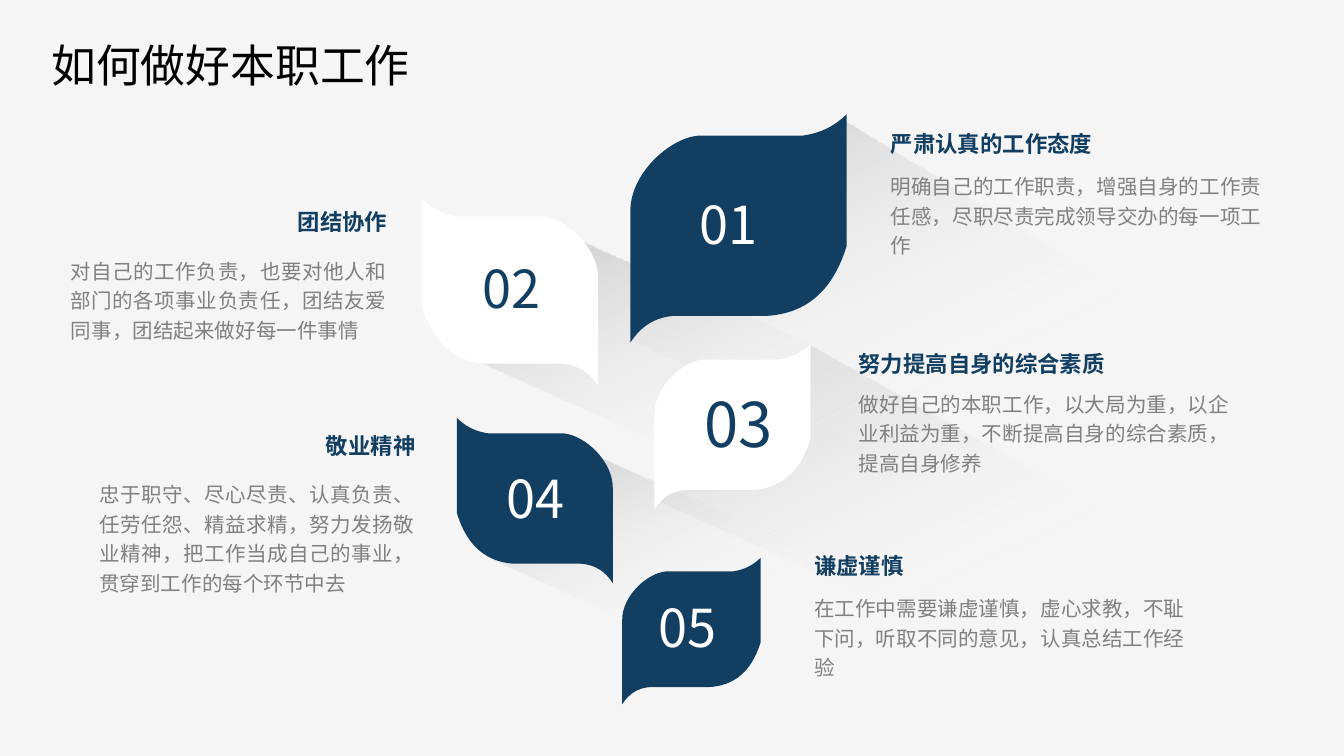
from lxml.etree import SubElement
from pptx import Presentation
from pptx.dml.color import RGBColor
from pptx.enum.shapes import MSO_SHAPE
from pptx.enum.text import MSO_AUTO_SIZE, PP_ALIGN
from pptx.oxml import parse_xml
from pptx.oxml.ns import nsdecls, qn
from pptx.util import Inches, Pt

FONT = "Noto Sans CJK SC"
NAVY = RGBColor(0x12, 0x3E, 0x61)
WHITE = RGBColor(0xFF, 0xFF, 0xFF)
GREY = RGBColor(0x80, 0x80, 0x80)
BLACK = RGBColor(0, 0, 0)
PAPER = RGBColor(0xF5, 0xF5, 0xF6)

LEAF_W, LEAF_H = 1.6, 1.7
LEAF = [
    (1.6, 0),
    (1.52, 0.08), (1.42, 0.14), (1.27, 0.16),
    (1.02, 0.16), (0.75, 0.16), (0.5, 0.16),
    (0.29, 0.18), (0, 0.44), (0, 0.72),
    (0, 1.04), (0, 1.38), (0, 1.7),
    (0.07, 1.59), (0.17, 1.51), (0.33, 1.5),
    (0.56, 1.5), (0.79, 1.5), (1.02, 1.5),
    (1.28, 1.48), (1.49, 1.34), (1.6, 0.98),
]
SHADE_TILT = 24.2
SHADE_STOPS = [(0, "2889D6", 54), (0, "BFBFBF", 100), (54, "FFFFFF", 0)]
SHADE_ANGLE = 40


class LeafSlide:
    """Holds the style and the current slide, and draws each kind of element."""

    def __init__(self, prs):
        self.s = prs.slides.add_slide(prs.slide_layouts[6])
        self.s.background.fill.solid()
        self.s.background.fill.fore_color.rgb = PAPER

    def outline(self, points):
        pts = [(Inches(x), Inches(y)) for x, y in points]
        builder = self.s.shapes.build_freeform(*pts[0])
        builder.add_line_segments(pts[1:], close=True)
        return builder.convert_to_shape()

    def shade(self, left, top, width, height, corners=None):
        if corners:
            sp = self.outline([(left + x, top + y) for x, y in corners])
        else:
            box = [Inches(v) for v in (left, top, width, height)]
            sp = self.s.shapes.add_shape(MSO_SHAPE.RECTANGLE, *box)
        sp.rotation = SHADE_TILT
        sp.shadow.inherit = False
        sp.line.fill.background()
        sp.fill.gradient()
        stops = "".join(
            f'<a:gs pos="{pos * 1000}"><a:srgbClr val="{color}">'
            f'<a:alpha val="{alpha * 1000}"/></a:srgbClr></a:gs>'
            for pos, color, alpha in SHADE_STOPS)
        grad = parse_xml(
            f'<a:gradFill {nsdecls("a")} rotWithShape="1"><a:gsLst>{stops}</a:gsLst>'
            f'<a:lin ang="{SHADE_ANGLE * 60000}" scaled="0"/></a:gradFill>')
        spPr = sp._element.spPr
        spPr.replace(spPr.find(qn("a:gradFill")), grad)

    def leaf(self, left, top, width, height, color, mirrored=False):
        points = []
        for x, y in LEAF:
            across = 1 - x / LEAF_W if mirrored else x / LEAF_W
            points.append((left + across * width, top + y / LEAF_H * height))
        sp = self.outline(points)
        sp.shadow.inherit = False
        sp.line.fill.background()
        sp.fill.solid()
        sp.fill.fore_color.rgb = color
        segments = list(sp._element.iter(qn("a:lnTo")))
        for i in range(0, len(segments) - 2, 3):
            curve = SubElement(segments[i].getparent(), qn("a:cubicBezTo"))
            segments[i].addprevious(curve)
            for segment in segments[i:i + 3]:
                curve.append(segment[0])
                segment.getparent().remove(segment)

    def text(self, text, left, top, width, height, size, color, bold=False,
             align=PP_ALIGN.LEFT, spacing=None, wrap=True, grow=True):
        box = [Inches(v) for v in (left, top, width, height)]
        tf = self.s.shapes.add_textbox(*box).text_frame
        tf.word_wrap = wrap
        tf.auto_size = MSO_AUTO_SIZE.SHAPE_TO_FIT_TEXT if grow else MSO_AUTO_SIZE.NONE
        p = tf.paragraphs[0]
        p.alignment = align
        if spacing:
            p.line_spacing = spacing
        r = p.add_run()
        r.text = text
        r.font.size = Pt(size)
        r.font.bold = bold
        r.font.color.rgb = color
        r.font.name = FONT
        SubElement(r._r.get_or_add_rPr(), qn("a:ea")).set("typeface", FONT)


SHADES = [
    (4.98, 3.34, 5.2, 1.52, [(0.55, 0), (5.2, 0.41), (5.2, 1.52), (0, 1.52)]),
    (3.72, 3.91, 3.52, 1.02),
    (3.48, 2.62, 5.11, 1.13),
    (4.9, 1.55, 5.2, 2.14, [(0.77, 0), (5.2, 0.57), (5.2, 2.14), (0, 2.14)]),
]
LEAVES = [
    (4.69, 0.85, 1.61, 1.7, NAVY),
    (4.87, 2.56, 1.16, 1.23, WHITE),
    (3.4, 3.11, 1.16, 1.23, NAVY, True),
    (3.14, 1.48, 1.31, 1.39, WHITE, True),
    (4.63, 4.15, 1.03, 1.09, NAVY),
]
NUMBERS = [
    ("01", 5.11, 1.38, 0.66, 0.57, 28, WHITE),
    ("02", 3.49, 1.86, 0.66, 0.57, 28, NAVY),
    ("03", 5.14, 2.82, 0.75, 0.66, 33, NAVY),
    ("04", 3.67, 3.42, 0.66, 0.57, 28, WHITE),
    ("05", 4.8, 4.38, 0.66, 0.57, 28, WHITE),
]
RIGHT_NOTES = [
    (6.53, 0.92, 2.07, 1.21, "严肃认真的工作态度",
     "明确自己的工作职责，增强自身的工作责任感，尽职尽责完成领导交办的每一项工作"),
    (6.29, 2.56, 2.06, 2.83, "努力提高自身的综合素质",
     "做好自己的本职工作，以大局为重，以企业利益为重，不断提高自身的综合素质，提高自身修养"),
    (5.96, 4.06, 1.64, 4.35, "谦虚谨慎",
     "在工作中需要谦虚谨慎，虚心求教，不耻下问，听取不同的意见，认真总结工作经验"),
]
LEFT_NOTES = [
    (1.34, 1.5, 0.43, 1.84, 0.77, "团结协作",
     "对自己的工作负责，也要对他人和部门的各项事业负责任，团结友爱同事，团结起来做好每一件事情"),
    (1.55, 3.17, 0.64, 3.5, 0.99, "敬业精神",
     "忠于职守、尽心尽责、认真负责、任劳任怨、精益求精，努力发扬敬业精神，"
     "把工作当成自己的事业，贯穿到工作的每个环节中去"),
]

prs = Presentation()
prs.slide_width = Inches(10)
prs.slide_height = prs.slide_width * 9 // 16
slide = LeafSlide(prs)
for shade in SHADES:
    slide.shade(*shade)
for leaf in LEAVES:
    slide.leaf(*leaf)
for number in NUMBERS:
    slide.text(*number, wrap=False)
for left, top, width, body_top, heading, body in RIGHT_NOTES:
    slide.text(heading, left, top, width, 0.3, 12, NAVY, bold=True)
    slide.text(body, left, body_top, 3, 0.77, 11, GREY, spacing=1.2)
for left, top, body_left, body_top, body_height, heading, body in LEFT_NOTES:
    slide.text(heading, left, top, 1.64, 0.3, 12, NAVY, bold=True, align=PP_ALIGN.RIGHT)
    slide.text(body, body_left, body_top, 2.54, body_height, 11, GREY,
               align=PP_ALIGN.JUSTIFY, spacing=1.2)
slide.text("如何做好本职工作", 0.24, 0.23, 2.95, 0.54, 24, BLACK,
           align=PP_ALIGN.CENTER, grow=False)
prs.save("out.pptx")
